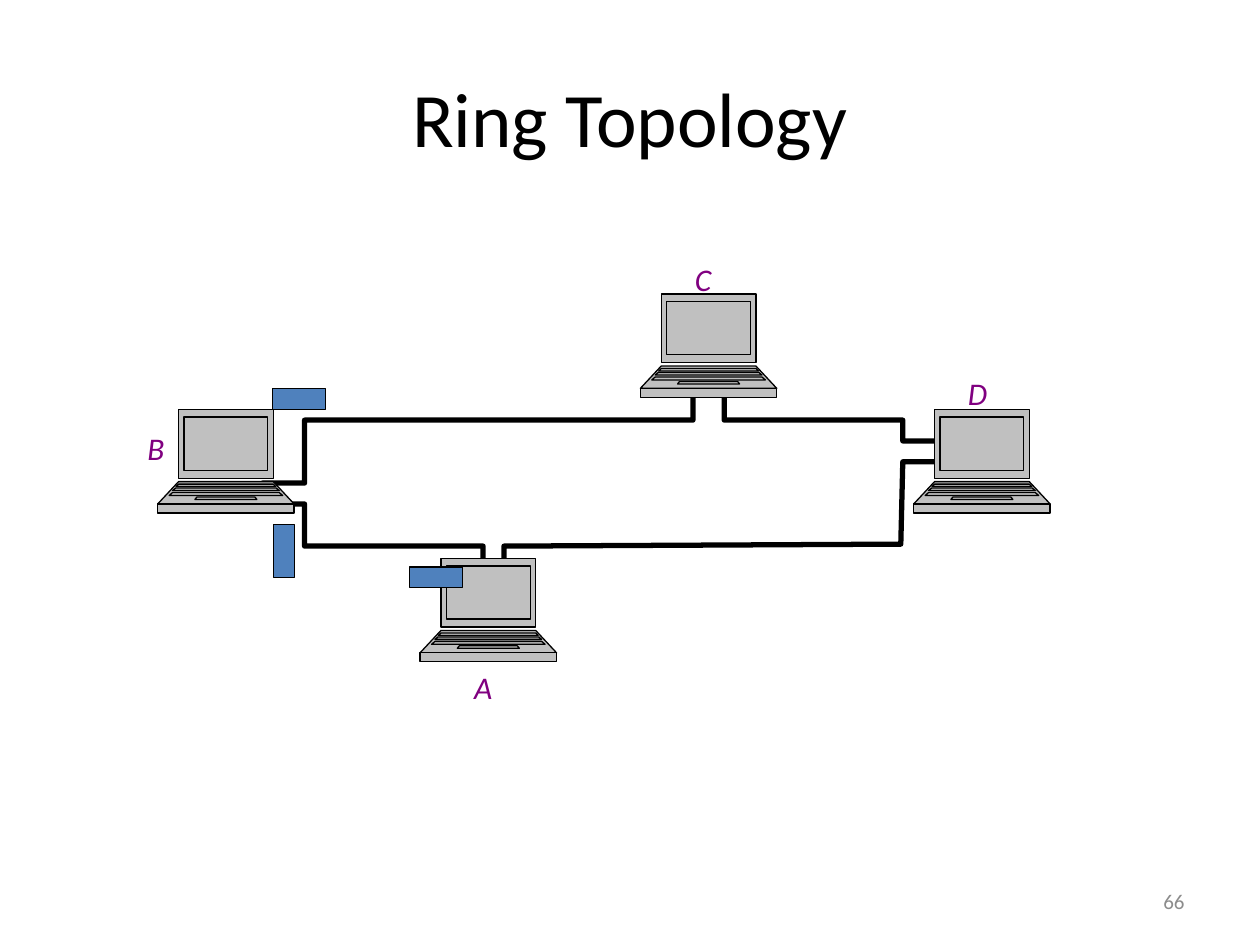
from copy import deepcopy
from pptx import Presentation, util as u
from pptx.dml.color import RGBColor
from pptx.enum import shapes, text
from pptx.oxml.ns import qn

deck = Presentation()
deck.slide_width, deck.slide_height = u.Cm(25.4), u.Cm(19.05)
slide = deck.slides.add_slide(deck.slide_layouts[6])
unit = u.Cm(0.01)  # outline points are in hundredths of a cm
hue = RGBColor.from_string


def style(shape, fill, width):
    shape.shadow.inherit = False
    if fill:
        shape.fill.solid()
        shape.fill.fore_color.rgb = hue(fill)
    else:
        shape.fill.background()
    shape.line.color.rgb = hue("000000")
    shape.line.width = u.Pt(width)


def write(words, box, size, color, align=text.PP_ALIGN.LEFT, wrap=True):
    frame = slide.shapes.add_textbox(*map(u.Cm, box)).text_frame
    frame.word_wrap = wrap
    para = frame.paragraphs[0]
    para.text = words
    para.alignment = align
    para.font.name, para.font.size = "Calibri", u.Pt(size)
    para.font.color.rgb = hue(color)
    return frame


# Slide number
frame = write("66", (18.2, 17.66, 5.93, 1.01), 12, "8C8C8C", text.PP_ALIGN.RIGHT)
frame.vertical_anchor = text.MSO_ANCHOR.MIDDLE

# Ring cable
ring = [(974, 1185), (974, 1101), (614, 1101), (614, 1016), (529, 1016),
        (529, 974), (614, 974), (614, 847), (1397, 847), (1397, 762),
        (1460, 762), (1460, 847), (1820, 847), (1820, 889), (1905, 889),
        (1905, 931), (1820, 931), (1816, 1097), (1016, 1101), (1016, 1185)]
pen = slide.shapes.build_freeform(*ring[0], scale=unit)
pen.add_line_segments(ring[1:], close=False)
style(pen.convert_to_shape(), None, 3)

# Title
frame = write("Ring Topology", (1.27, 0.76, 22.86, 3.18), 44, "000000",
              text.PP_ALIGN.CENTER)
frame.vertical_anchor = text.MSO_ANCHOR.MIDDLE

# Laptops: each part is symmetric, given as top inset, bottom inset, top, bottom
wide = 275
parts = [(42, 42, 0, 138),      # lid
         (42, 0, 145, 190),     # keyboard
         (0, 0, 190, 208),      # front edge
         (53, 53, 15, 122),     # screen
         (42, 37, 150, 155),    # key row
         (79, 75, 176, 181),    # space bar
         (36, 30, 158, 163),    # key row
         (30, 23, 167, 173)]    # key row
for left, top in [(1291, 593), (1842, 826), (318, 826), (847, 1126)]:
    pen = slide.shapes.build_freeform(left + parts[0][0], top, scale=unit)
    for num, (inset, foot, high, low) in enumerate(parts):
        start = (left + inset, top + high)
        if num:
            pen.move_to(*start)
        pen.add_line_segments([(left + wide - inset, top + high),
                               (left + wide - foot, top + low),
                               (left + foot, top + low), start], close=True)
    laptop = pen.convert_to_shape()
    style(laptop, "C0C0C0", 0.75)

    # Give every part its own outline, so that overlaps stay filled
    whole = next(laptop._element.iter(qn("a:path")))
    group = whole.getparent()
    for node in list(whole):
        if node.tag == qn("a:moveTo"):
            part = deepcopy(whole)
            for old in list(part):
                part.remove(old)
            group.append(part)
        part.append(node)
    group.remove(whole)

# Packets
for left, top, turn in [(8.26, 11.43, 0), (5.19, 10.9, 90), (5.5, 7.83, 0)]:
    packet = slide.shapes.add_shape(shapes.MSO_SHAPE.RECTANGLE, u.Cm(left),
                                    u.Cm(top), u.Cm(1.06), u.Cm(0.42))
    packet.rotation = turn
    style(packet, "4F81BD", 0.75)

# Station names
for name, left, top in [("A", 9.31, 13.34), ("B", 2.72, 8.52),
                        ("C", 13.76, 5.12), ("D", 19.26, 7.41)]:
    frame = write(name, (left, top, 0.9, 1.02), 18, "800080", wrap=False)
    frame.auto_size = text.MSO_AUTO_SIZE.SHAPE_TO_FIT_TEXT
    frame.paragraphs[0].font.italic = True

deck.save("out.pptx")
